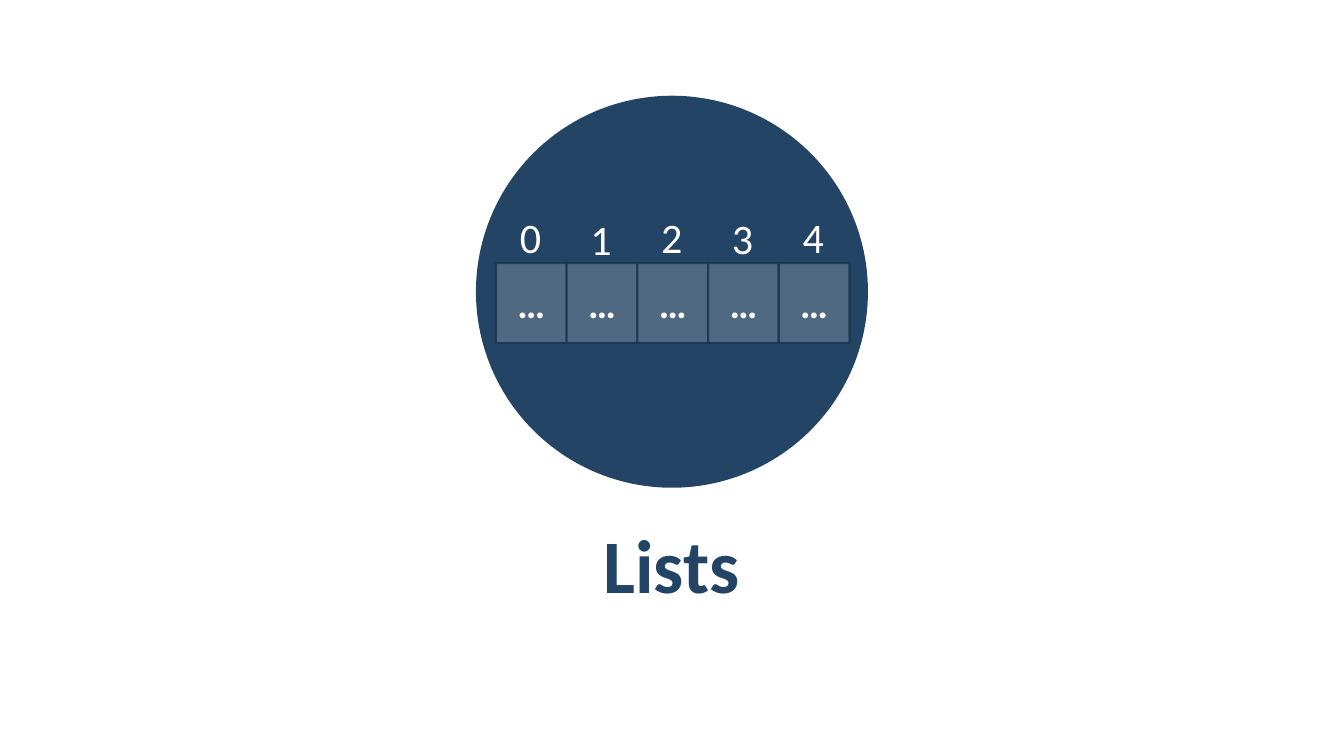
import dataclasses

import lxml.etree
import pptx
import pptx.dml.color
import pptx.enum.shapes
import pptx.enum.text
import pptx.oxml.ns
import pptx.util

Pt = pptx.util.Pt
Align = pptx.enum.text.PP_ALIGN
Anchor = pptx.enum.text.MSO_ANCHOR
Fit = pptx.enum.text.MSO_AUTO_SIZE
Shape = pptx.enum.shapes.MSO_SHAPE


@dataclasses.dataclass(frozen=True)
class Theme:
    font: str = "Calibri"
    navy: str = "234465"
    outline: str = "1A334C"
    white: str = "FFFFFF"
    title_size: int = 54
    index_size: int = 30
    value_size: int = 28


class SlideBuilder:
    def __init__(self, page, theme):
        self.page = page
        self.theme = theme

    def paint(self, fill, color, owner, opacity=100):
        fill.solid()
        fill.fore_color.rgb = pptx.dml.color.RGBColor.from_string(color)
        if opacity < 100:
            node = owner.find(pptx.oxml.ns.qn("a:solidFill"))[0]
            alpha = lxml.etree.SubElement(node, pptx.oxml.ns.qn("a:alpha"))
            alpha.set("val", str(opacity * 1000))

    def set_text(self, box, text, size, color, bold=False, align=Align.CENTER):
        para = box.text_frame.paragraphs[0]
        para.text = text
        para.alignment = align
        para.font.name = self.theme.font
        para.font.size = Pt(size)
        para.font.bold = bold
        para.font.color.rgb = pptx.dml.color.RGBColor.from_string(color)
        return para

    def shape(self, kind, left, top, width, height, color, opacity=100):
        shape = self.page.shapes.add_shape(
            kind, Pt(left), Pt(top), Pt(width), Pt(height))
        shape.shadow.inherit = False
        self.paint(shape.fill, color, shape.element.spPr, opacity)
        shape.line.fill.background()
        return shape

    def circle(self, left, top, size):
        self.shape(Shape.OVAL, left, top, size, size, self.theme.navy)

    def cell(self, left, top, width, height, text):
        cell = self.shape(Shape.RECTANGLE, left, top, width, height,
                          self.theme.white, opacity=20)
        cell.line.width = Pt(1.5)
        outline = cell.element.spPr.find(pptx.oxml.ns.qn("a:ln"))
        self.paint(cell.line.fill, self.theme.outline, outline, opacity=80)
        cell.text_frame.vertical_anchor = Anchor.MIDDLE
        self.set_text(cell, text, self.theme.value_size, self.theme.white, bold=True)

    def text_box(self, left, top, width, height, inset_x, inset_y):
        box = self.page.shapes.add_textbox(Pt(left), Pt(top), Pt(width), Pt(height))
        frame = box.text_frame
        frame.margin_left = frame.margin_right = Pt(inset_x)
        frame.margin_top = frame.margin_bottom = Pt(inset_y)
        return box

    def index(self, left, top, text):
        box = self.text_box(left, top, 39, 64, 11.5, 8.6)
        box.text_frame.word_wrap = False
        box.text_frame.auto_size = Fit.SHAPE_TO_FIT_TEXT
        para = self.set_text(box, text, self.theme.index_size, self.theme.white,
                             align=Align.LEFT)
        para.line_spacing = 1.1

    def title(self, left, top, width, height, text):
        box = self.text_box(left, top, width, height, 8.6, 2.9)
        box.text_frame.word_wrap = True
        box.text_frame.vertical_anchor = Anchor.MIDDLE
        para = self.set_text(box, text, self.theme.title_size, self.theme.navy,
                             bold=True)
        para.line_spacing = 1.05
        para.space_before = para.space_after = Pt(6)


def main():
    deck = pptx.Presentation()
    deck.slide_width, deck.slide_height = Pt(960), Pt(540)
    page = deck.slides.add_slide(deck.slide_layouts[6])
    builder = SlideBuilder(page, Theme())

    # Emblem and title
    builder.circle(340, 68.4, 280)
    builder.title(48, 370.8, 863.5, 60.5, "Lists")

    # List cells, with an index above each
    pitch = 50.5
    index_tops = (139, 140.4, 139, 139.7, 139)
    for number in range(len(index_tops)):
        builder.cell(354.3 + number * pitch, 187.9, pitch, 57, "…")
    for number, top in enumerate(index_tops):
        builder.index(359.8 + number * pitch, top, str(number))

    deck.save("out.pptx")


if __name__ == "__main__":
    main()
